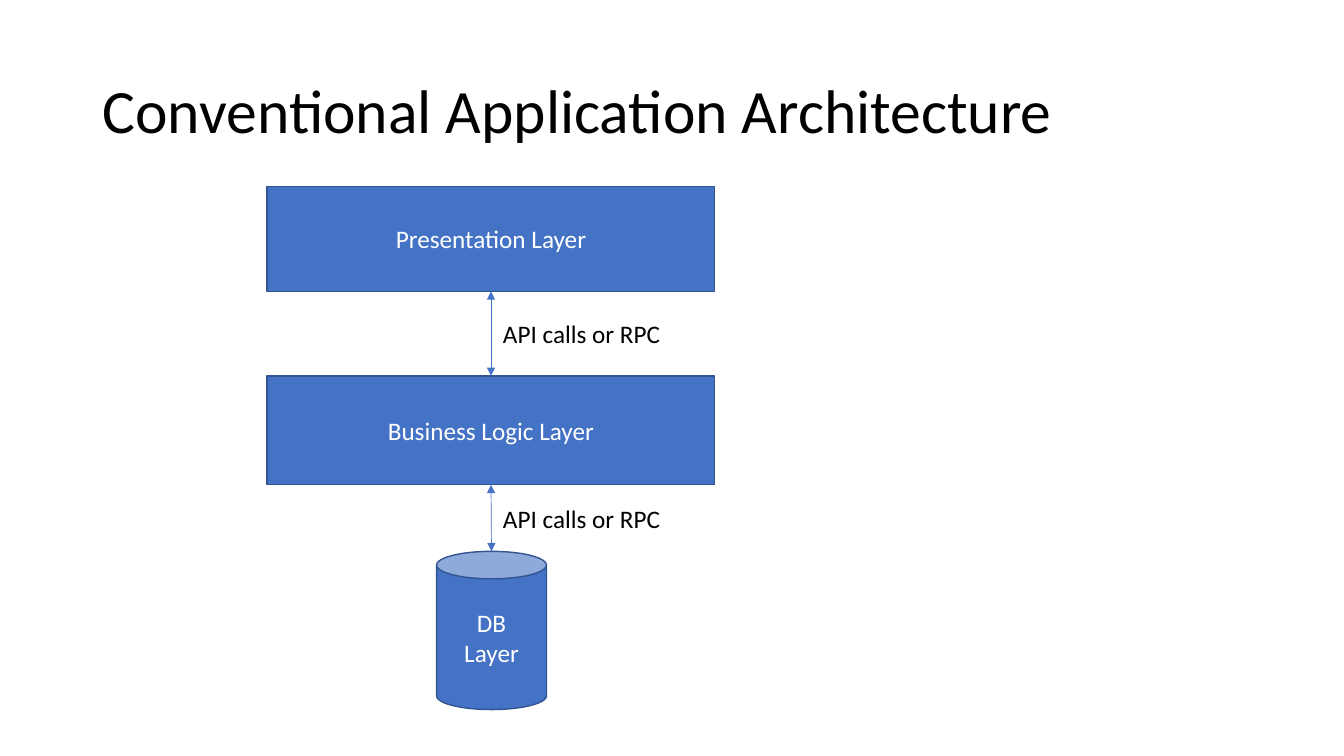
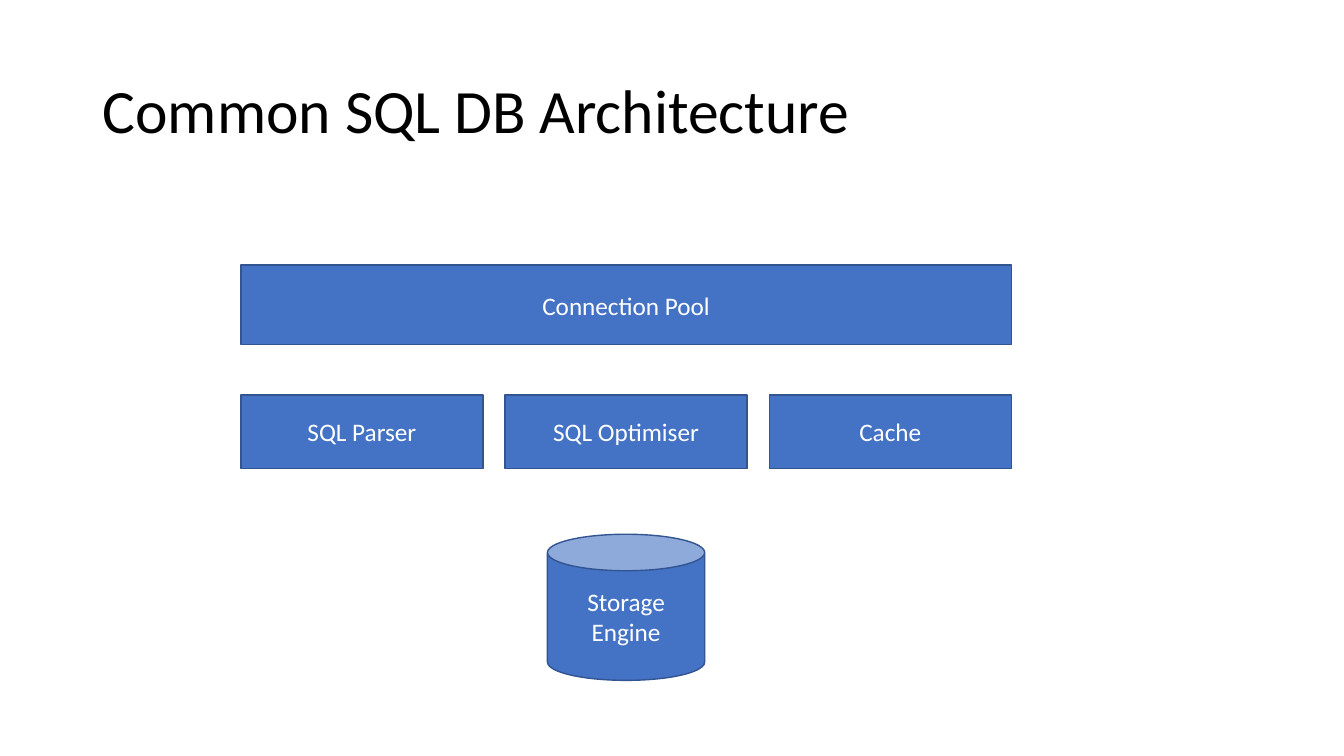
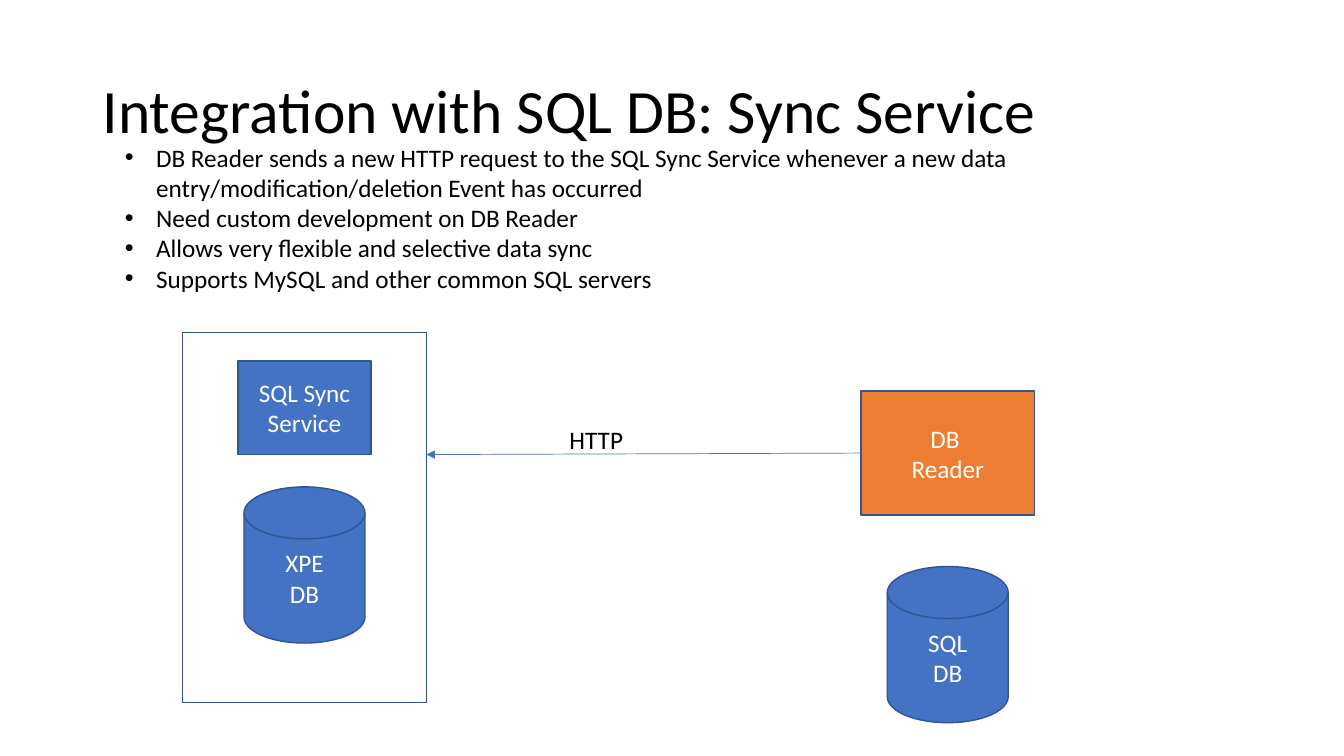
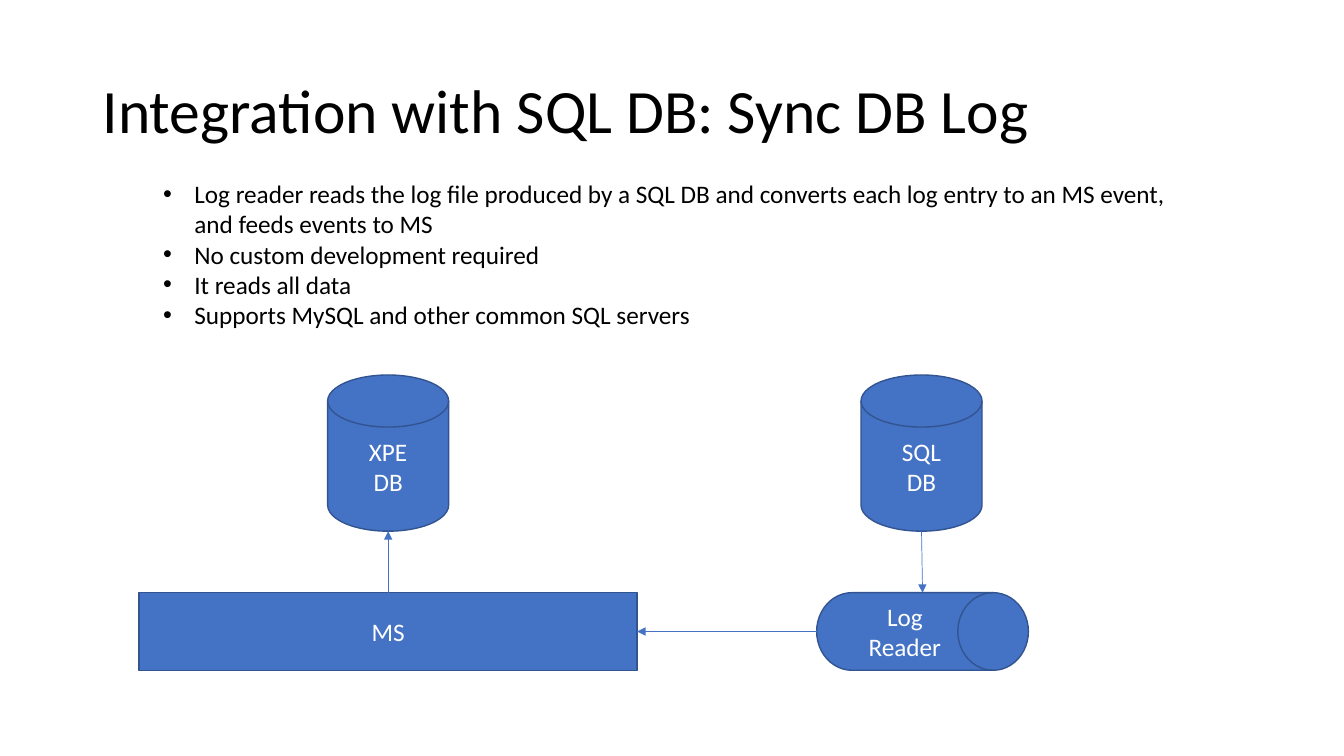
from dataclasses import dataclass

from pptx import Presentation
from pptx.dml.color import RGBColor
from pptx.enum.shapes import MSO_CONNECTOR, MSO_SHAPE as Shape
from pptx.enum.text import MSO_ANCHOR, MSO_AUTO_SIZE, PP_ALIGN
from pptx.oxml.ns import qn
from pptx.slide import Slide
from pptx.text.text import TextFrame
from pptx.util import Inches, Pt
from lxml.etree import SubElement

# Shared style
FONT = "Calibri"
BLACK, WHITE = "000000", "FFFFFF"
BLUE, DARK_BLUE, ORANGE = "4472C4", "325491", "ED7D31"
TITLE_SIZE, BODY_SIZE = 44, 18
INDENT = 0.31
DISK_SIZE = (1.2, 1.55)

Point = tuple[float, float]


@dataclass(frozen=True)
class Box:
    left: float
    top: float
    width: float
    height: float
    text: str = ""
    kind: Shape = Shape.RECTANGLE
    fill: str = BLUE

    @property
    def top_mid(self) -> Point:
        return self.left + self.width / 2, self.top

    @property
    def bottom_mid(self) -> Point:
        return self.left + self.width / 2, self.top + self.height

    @property
    def left_mid(self) -> Point:
        return self.left, self.top + self.height / 2

    @property
    def right_mid(self) -> Point:
        return self.left + self.width, self.top + self.height / 2


def color(value: str) -> RGBColor:
    return RGBColor.from_string(value)


def disk(left: float, top: float, text: str) -> Box:
    return Box(left, top, *DISK_SIZE, text, Shape.FLOWCHART_MAGNETIC_DISK)


def write(tf: TextFrame, text: str, size: int = BODY_SIZE, ink: str = BLACK,
          align: PP_ALIGN = PP_ALIGN.LEFT, bullets: bool = False) -> None:
    """Put each line of text in a paragraph of its own."""
    for i, line in enumerate(text.split("\n")):
        p = tf.paragraphs[0] if i == 0 else tf.add_paragraph()
        p.alignment = align
        if bullets:
            p_pr = p._p.get_or_add_pPr()
            p_pr.set("marL", str(Inches(INDENT)))
            p_pr.set("indent", str(-Inches(INDENT)))
            SubElement(p_pr, qn("a:buFont"), typeface="Arial")
            SubElement(p_pr, qn("a:buChar"), char="•")
        p.font.name, p.font.size = FONT, Pt(size)
        p.font.color.rgb = color(ink)
        p.add_run().text = line


def add_text(s: Slide, left: float, top: float, width: float, height: float,
             wrap: bool = True) -> TextFrame:
    sp = s.shapes.add_textbox(Inches(left), Inches(top), Inches(width), Inches(height))
    tf = sp.text_frame
    tf.word_wrap = wrap
    return tf


def add_label(s: Slide, left: float, top: float, width: float, text: str) -> None:
    tf = add_text(s, left, top, width, 0.4, wrap=False)
    tf.auto_size = MSO_AUTO_SIZE.SHAPE_TO_FIT_TEXT
    write(tf, text)


def add_bullets(s: Slide, left: float, top: float, width: float, *lines: str) -> None:
    write(add_text(s, left, top, width, 1.62), "\n".join(lines), bullets=True)


def add_box(s: Slide, box: Box) -> None:
    sp = s.shapes.add_shape(box.kind, Inches(box.left), Inches(box.top),
                            Inches(box.width), Inches(box.height))
    sp.shadow.inherit = False
    sp.fill.solid()
    sp.fill.fore_color.rgb = color(box.fill)
    sp.line.color.rgb = color(DARK_BLUE)
    sp.line.width = Pt(1)
    if box.text:
        sp.text_frame.vertical_anchor = MSO_ANCHOR.MIDDLE
        write(sp.text_frame, box.text, ink=WHITE, align=PP_ALIGN.CENTER)


def add_arrow(s: Slide, start: Point, end: Point, both: bool = False) -> None:
    x1, y1, x2, y2 = (Inches(v) for v in (*start, *end))
    sp = s.shapes.add_connector(MSO_CONNECTOR.STRAIGHT, x1, y1, x2, y2)
    sp.line.color.rgb = color(BLUE)
    sp.line.width = Pt(0.5)
    ln = sp.line._get_or_add_ln()
    for tag in ("a:headEnd", "a:tailEnd") if both else ("a:tailEnd",):
        SubElement(ln, qn(tag), type="triangle")
    SubElement(sp._element.spPr, qn("a:effectLst"))


def new_slide(prs: Presentation, title: str, *boxes: Box) -> Slide:
    s = prs.slides.add_slide(prs.slide_layouts[6])
    for box in boxes:
        add_box(s, box)
    tf = add_text(s, 0.92, 0.4, 11.5, 1.45)
    tf.vertical_anchor = MSO_ANCHOR.MIDDLE
    write(tf, title, TITLE_SIZE)
    tf.paragraphs[0].line_spacing = 0.9
    return s


def conventional_architecture(prs: Presentation) -> None:
    view = Box(2.65, 1.85, 4.44, 1.04, "Presentation Layer")
    logic = Box(2.65, 3.73, 4.44, 1.08, "Business Logic Layer")
    db = Box(4.33, 5.47, 1.09, 1.57, "DB\nLayer", Shape.CAN)
    s = new_slide(prs, "Conventional Application Architecture", view, logic, db)
    for upper, lower, label_top in ((view, logic, 3.11), (logic, db, 4.94)):
        add_arrow(s, upper.bottom_mid, lower.top_mid, both=True)
        add_label(s, 4.89, label_top, 1.78, "API calls or RPC")


def sql_architecture(prs: Presentation) -> None:
    left, width, gap = 2.39, 2.4, 0.22
    parts = ("SQL Parser", "SQL Optimiser", "Cache")
    new_slide(
        prs, "Common SQL DB Architecture",
        Box(left, 2.63, 3 * width + 2 * gap, 0.79, "Connection Pool"),
        *(Box(left + i * (width + gap), 3.92, width, 0.73, part)
          for i, part in enumerate(parts)),
        Box(5.43, 5.3, 1.56, 1.45, "Storage\nEngine", Shape.CAN))


SUPPORTED = "Supports MySQL and other common SQL servers"


def sync_service(prs: Presentation) -> None:
    host = Box(1.81, 3.3, 2.42, 3.67, fill=WHITE)
    reader = Box(8.54, 3.88, 1.72, 1.23, "DB \nReader", fill=ORANGE)
    s = new_slide(prs, "Integration with SQL DB: Sync Service", host, reader,
                  disk(2.42, 4.83, "XPE\nDB"), disk(8.8, 5.62, "SQL\nDB"),
                  Box(2.36, 3.58, 1.32, 0.93, "SQL Sync\nService"))
    add_arrow(s, reader.left_mid, (host.left + host.width, 4.51))
    add_label(s, 5.55, 4.16, 0.74, "HTTP")
    add_bullets(s, 1.14, 1.36, 9.86,
                "DB Reader sends a new HTTP request to the SQL Sync Service whenever "
                "a new data entry/modification/deletion Event has occurred",
                "Need custom development on DB Reader",
                "Allows very flexible and selective data sync",
                SUPPORTED)


def sync_log(prs: Presentation) -> None:
    xpe, sql = disk(3.25, 3.72, "XPE\nDB"), disk(8.54, 3.72, "SQL\nDB")
    reader = Box(8.1, 5.88, 2.1, 0.77, "Log Reader", Shape.FLOWCHART_DIRECT_ACCESS_STORAGE)
    ms = Box(1.38, 5.88, 4.94, 0.77, "MS")
    s = new_slide(prs, "Integration with SQL DB: Sync DB Log", xpe, sql, reader, ms)
    add_bullets(s, 1.52, 1.72, 10.24,
                "Log reader reads the log file produced by a SQL DB and converts each "
                "log entry to an MS event, and feeds events to MS",
                "No custom development required",
                "It reads all data",
                SUPPORTED)
    add_arrow(s, sql.bottom_mid, reader.top_mid)
    add_arrow(s, reader.left_mid, ms.right_mid)
    add_arrow(s, ms.top_mid, xpe.bottom_mid)


def main() -> None:
    prs = Presentation()
    prs.slide_width, prs.slide_height = Inches(13.33), Inches(7.5)
    for build in (conventional_architecture, sql_architecture, sync_service, sync_log):
        build(prs)
    prs.save("out.pptx")


if __name__ == "__main__":
    main()
